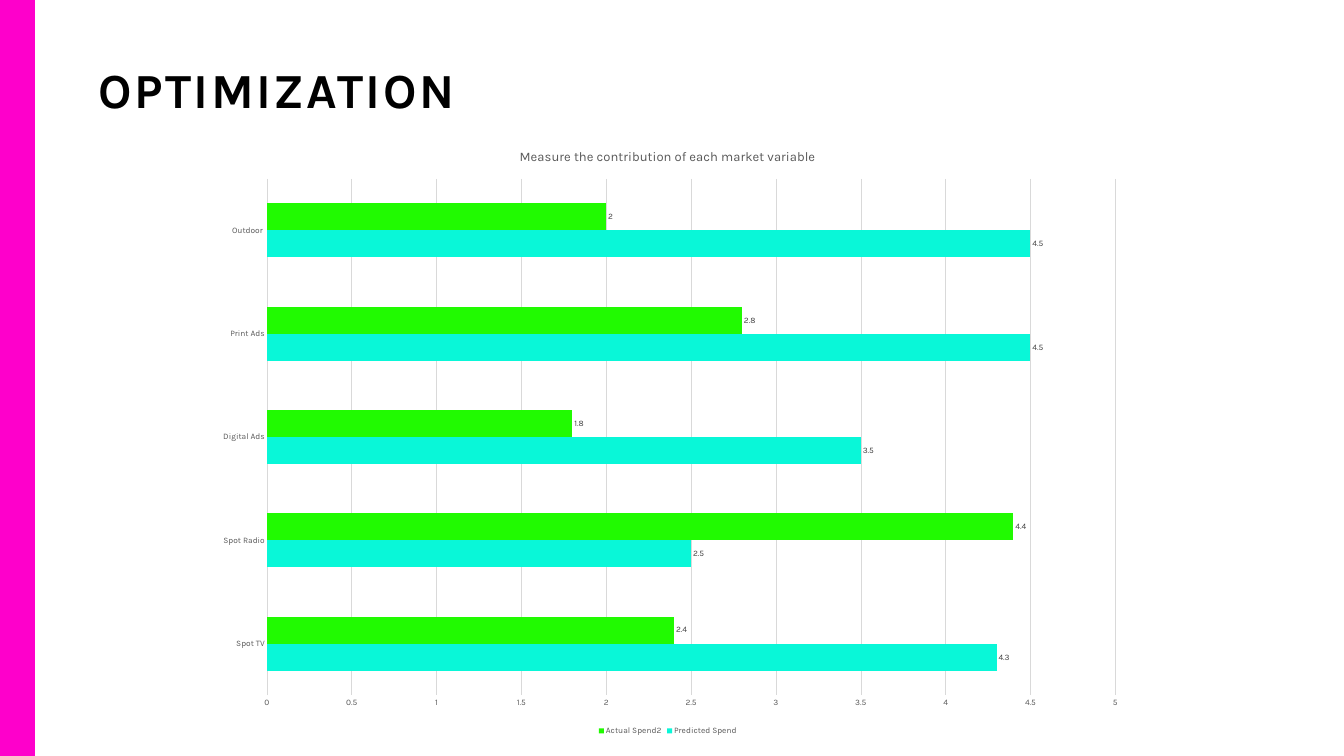
"""Build the optimization slide with its spend comparison chart."""
from lxml import etree
from pptx import Presentation
from pptx.chart.data import CategoryChartData
from pptx.dml.color import RGBColor
from pptx.enum.chart import XL_CHART_TYPE, XL_LABEL_POSITION, XL_LEGEND_POSITION, XL_TICK_MARK
from pptx.enum.shapes import MSO_SHAPE
from pptx.enum.text import MSO_ANCHOR, PP_ALIGN
from pptx.oxml.ns import qn
from pptx.util import Pt

BAR_CLUSTERED = XL_CHART_TYPE.BAR_CLUSTERED
OUTSIDE_END = XL_LABEL_POSITION.OUTSIDE_END
LEGEND_BOTTOM = XL_LEGEND_POSITION.BOTTOM
NO_TICK = XL_TICK_MARK.NONE
RECTANGLE = MSO_SHAPE.RECTANGLE
TOP = MSO_ANCHOR.TOP
LEFT = PP_ALIGN.LEFT

BLACK = RGBColor(0x00, 0x00, 0x00)
MAGENTA = RGBColor(0xFE, 0x00, 0xCB)
TURQUOISE = RGBColor(0x09, 0xF7, 0xD8)
GREEN = RGBColor(0x21, 0xFA, 0x01)
DARK_GREY = RGBColor(0x40, 0x40, 0x40)
GREY = RGBColor(0x59, 0x59, 0x59)
LIGHT_GREY = RGBColor(0xD9, 0xD9, 0xD9)

CHANNELS = ["Spot TV", "Spot Radio", "Digital Ads", "Print Ads", "Outdoor "]
SPEND = [
    ("Predicted Spend", [4.3, 2.5, 3.5, 4.5, 4.5], TURQUOISE),
    ("Actual Spend2", [2.4, 4.4, 1.8, 2.8, 2], GREEN),
]
PLOT_LAYOUT = {"x": 0.07, "y": 0.08, "w": 0.91, "h": 0.85}


class SlideBuilder:
    """Hold the typeface and the current slide."""

    def __init__(self, slide, typeface):
        """Keep the slide and the typeface."""
        self.slide = slide
        self.typeface = typeface

    def style(self, font, size, color, bold=False):
        """Apply the typeface, size, colour and weight."""
        font.name = self.typeface
        font.size = Pt(size)
        font.color.rgb = color
        font.bold = bold

    def band(self, left, top, width, height, color):
        """Draw a plain filled rectangle."""
        band = self.slide.shapes.add_shape(
            RECTANGLE, Pt(left), Pt(top), Pt(width), Pt(height))
        band.shadow.inherit = False
        band.fill.solid()
        band.fill.fore_color.rgb = color
        band.line.fill.background()

    def heading(self, text, left, top, width, height):
        """Write the letter-spaced heading."""
        frame = self.slide.shapes.add_textbox(
            Pt(left), Pt(top), Pt(width), Pt(height)).text_frame
        frame.word_wrap = True
        frame.vertical_anchor = TOP
        frame.margin_left = frame.margin_right = Pt(1)
        frame.margin_top = frame.margin_bottom = Pt(1)
        paragraph = frame.paragraphs[0]
        paragraph.alignment = LEFT
        paragraph.line_spacing = Pt(68)
        run = paragraph.add_run()
        run.text = text
        self.style(paragraph.font, 70, BLACK, bold=True)
        run._r.get_or_add_rPr().set("spc", "350")

    def bar_chart(self, title, categories, series, left, top, width, height):
        """Draw the clustered bars with value labels and a legend."""
        data = CategoryChartData()
        data.categories = categories
        for name, values, _ in series:
            data.add_series(name, values)
        chart = self.slide.shapes.add_chart(
            BAR_CLUSTERED, Pt(left), Pt(top), Pt(width), Pt(height), data).chart
        self.style(chart.font, 10, BLACK)

        chart.has_title = True
        chart.chart_title.include_in_layout = False
        title_paragraph = chart.chart_title.text_frame.paragraphs[0]
        title_paragraph.text = title
        self.style(title_paragraph.font, 18.6, GREY)

        chart.has_legend = True
        chart.legend.position = LEGEND_BOTTOM
        chart.legend.include_in_layout = False
        self.style(chart.legend.font, 12, GREY)

        for axis in (chart.category_axis, chart.value_axis):
            axis.major_tick_mark = axis.minor_tick_mark = NO_TICK
            self.style(axis.tick_labels.font, 12, GREY)
        self.rule(chart.category_axis.format.line)
        chart.value_axis.format.line.fill.background()
        chart.value_axis.minimum_scale = 0
        chart.value_axis.maximum_scale = 5
        chart.value_axis.major_unit = 0.5
        self.rule(chart.value_axis.major_gridlines.format.line)

        plot = chart.plots[0]
        plot.gap_width = 182
        plot.overlap = 0
        plot.vary_by_categories = False
        for bars, (_, _, color) in zip(plot.series, series):
            bars.format.fill.solid()
            bars.format.fill.fore_color.rgb = color
            labels = bars.data_labels
            labels.show_value = True
            labels.position = OUTSIDE_END
            self.style(labels.font, 12, DARK_GREY)
        self.place_plot(chart._chartSpace.find(".//" + qn("c:plotArea")))

    def rule(self, line):
        """Give a chart line its thin light stroke."""
        line.color.rgb = LIGHT_GREY
        line.width = Pt(0.75)

    def place_plot(self, plot_area):
        """Fix the inner plot area as fractions of the chart."""
        for automatic in plot_area.findall(qn("c:layout")):
            plot_area.remove(automatic)
        layout = etree.Element(qn("c:layout"))
        manual = etree.SubElement(layout, qn("c:manualLayout"))
        settings = {"layoutTarget": "inner", "xMode": "edge", "yMode": "edge", **PLOT_LAYOUT}
        for tag, value in settings.items():
            etree.SubElement(manual, qn(f"c:{tag}")).set("val", str(value))
        plot_area.insert(0, layout)


def main():
    """Assemble and save the slide."""
    presentation = Presentation()
    presentation.slide_width = Pt(1920)
    presentation.slide_height = Pt(1080)
    slide = presentation.slides.add_slide(presentation.slide_layouts[6])
    builder = SlideBuilder(slide, "Karla")
    builder.band(0, 0, 50, 1080, MAGENTA)
    builder.heading("OPTIMIZATION", 140, 100, 1720, 160)
    builder.bar_chart("Measure the contribution of each market variable",
                      CHANNELS, SPEND, 288, 186, 1332, 868)
    presentation.save("out.pptx")


if __name__ == "__main__":
    main()
